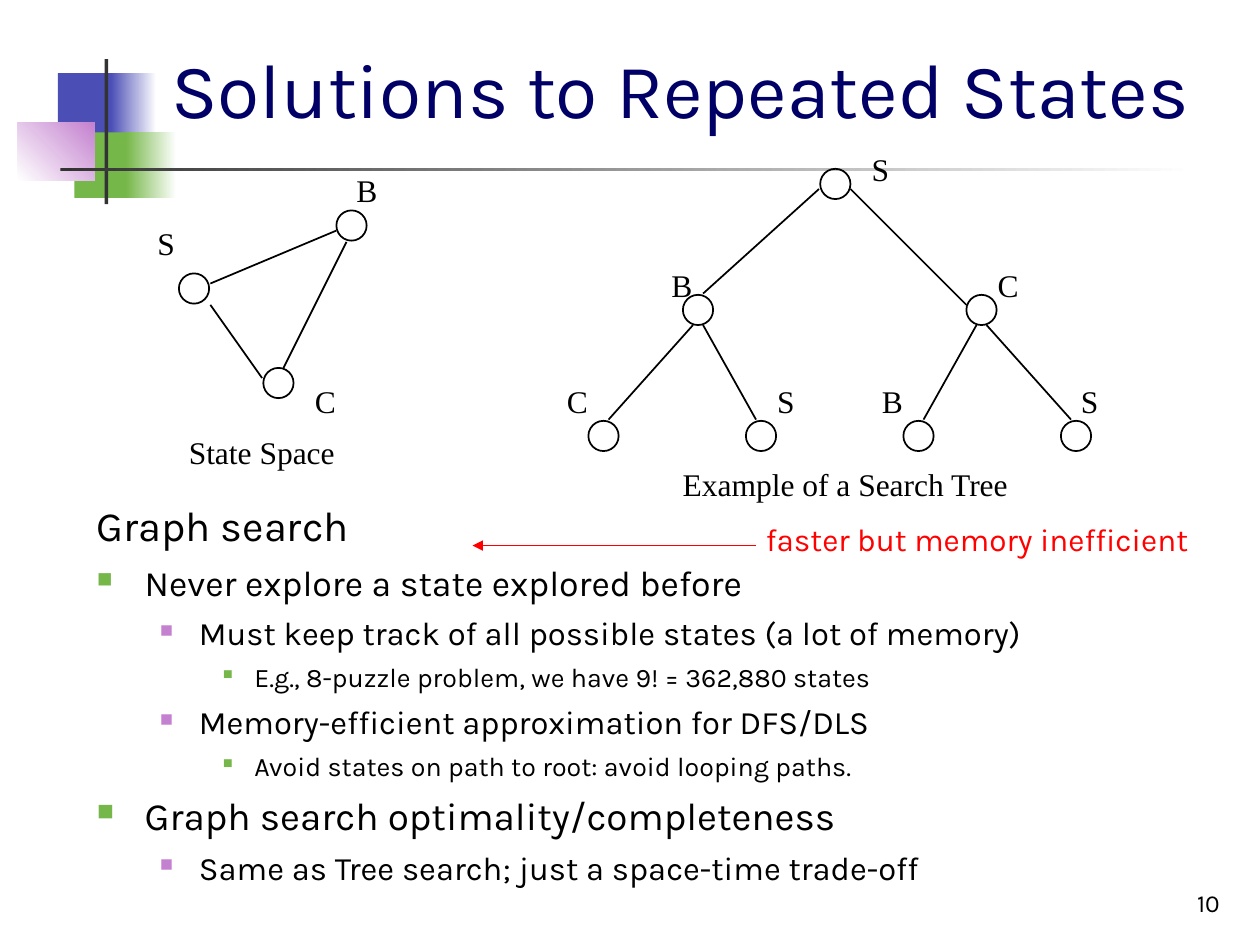
from lxml import etree
from pptx import Presentation
from pptx.dml.color import RGBColor as Rgb
from pptx.enum.shapes import MSO_CONNECTOR as Line, MSO_SHAPE as Kind
from pptx.enum.text import MSO_ANCHOR as Anchor, MSO_AUTO_SIZE as Fit, PP_ALIGN as Align
from pptx.oxml.ns import qn
from pptx.util import Inches, Pt

HUES = {
    "black": "000000", "white": "FFFFFF", "navy": "000066", "red": "FF0000",
    "blue": "4B4EB5", "green": "76B749", "pink": "C481CF", "dark": "333333",
}
SANS, SERIF = "Karla", "Times New Roman"
NODE = 0.24

# Bullet styles by level: hue, size in %, left margin, hang, space before
LEVELS = [("green", 60, 0.38, 0.38, 6), ("pink", 55, 0.81, 0.31, 5.5),
          ("green", 50, 1.25, 0.25, 4.5)]
# Text, level (None for the heading), font size
POINTS = [
    ("Graph search", None, 23.8),
    ("Never explore a state explored before", 0, 20.4),
    ("Must keep track of all possible states (a lot of memory)", 1, 18.7),
    ("E.g., 8-puzzle problem, we have 9! = 362,880 states", 2, 15.3),
    ("Memory-efficient approximation for DFS/DLS", 1, 18.7),
    ("Avoid states on path to root: avoid looping paths.", 2, 15.3),
    ("Graph search optimality/completeness", 0, 22.1),
    ("Same as Tree search; just a space-time trade-off", 1, 18.7),
]


def tint(name):
    return Rgb.from_string(HUES[name])


def style(para, size, face, hue):
    for run in para.runs:
        run.font.size, run.font.name = Pt(size), face
        run.font.color.rgb = tint(hue)


def add_text(slide, box, text, size=18, face=SERIF, hue="black"):
    shape = slide.shapes.add_textbox(*map(Inches, box))
    frame = shape.text_frame
    frame.word_wrap, frame.auto_size = False, Fit.SHAPE_TO_FIT_TEXT
    frame.text = text
    style(frame.paragraphs[0], size, face, hue)
    return frame


def add_line(slide, start, end, hue="black", width=1):
    line = slide.shapes.add_connector(Line.STRAIGHT, *map(Inches, (*start, *end)))
    line.line.color.rgb, line.line.width = tint(hue), Pt(width)
    etree.SubElement(line._element.spPr, qn("a:effectLst"))
    return line


def add_block(slide, box, first, last=None, angle=0):
    shape = slide.shapes.add_shape(Kind.RECTANGLE, *map(Inches, box))
    shape.shadow.inherit = False
    shape.line.fill.background()
    if last is None:
        shape.fill.solid()
        shape.fill.fore_color.rgb = tint(first)
        return
    shape.fill.gradient()
    shape.fill.gradient_angle = angle
    for stop, hue in zip(shape.fill.gradient_stops, (first, last)):
        stop.color.rgb = tint(hue)


def add_decor(slide, x, y):
    add_block(slide, (x + 0.32, y + 0.11, 0.48, 0.52), "blue")
    add_block(slide, (x + 0.74, y + 0.11, 0.36, 0.52), "blue", "white")
    add_block(slide, (x + 0.45, y + 0.58, 0.46, 0.52), "green")
    add_block(slide, (x + 0.86, y + 0.58, 0.4, 0.52), "green", "white")
    add_block(slide, (x, y + 0.5, 0.61, 0.46), "white", "pink", 45)
    add_block(slide, (x + 0.69, y, 0.03, 1.15), "dark")
    add_block(slide, (x + 0.34, y + 0.86, 9, 0.03), "dark", "white")


def add_title(slide, box, text):
    title = slide.shapes.title
    title.left, title.top, title.width, title.height = map(Inches, box)
    frame = title.text_frame
    frame.text = text
    frame.auto_size, frame.vertical_anchor = Fit.NONE, Anchor.MIDDLE
    para = frame.paragraphs[0]
    para.alignment = Align.LEFT
    style(para, 44, SANS, "navy")


def add_graph(slide, x, y, nodes, edges, caption):
    """Nodes: name, left, top, label left, label top, all from (x, y)."""
    for name, left, top, tag_x, tag_y in nodes:
        ring = slide.shapes.add_shape(
            Kind.OVAL, Inches(x + left), Inches(y + top), Inches(NODE), Inches(NODE))
        ring.shadow.inherit = False
        ring.fill.background()
        ring.line.color.rgb, ring.line.width = tint("black"), Pt(1)
        wide = 0.34 if name == "S" else 0.37
        add_text(slide, (x + tag_x, y + tag_y, wide, 0.4), name)
    for x1, y1, x2, y2 in edges:
        add_line(slide, (x + x1, y + y1), (x + x2, y + y2))
    text, left, top, wide = caption
    add_text(slide, (x + left, y + top, wide, 0.4), text)


def add_space(slide, x, y):
    nodes = [("S", 0.27, 0.86, 0, 0.42), ("C", 0.94, 1.61, 1.25, 1.67),
             ("B", 1.52, 0.36, 1.58, 0)]
    edges = [(0.52, 0.94, 1.52, 0.52), (1.6, 0.61, 1.1, 1.61),
             (0.52, 1.11, 0.93, 1.69)]
    add_graph(slide, x, y, nodes, edges, ("State Space", 0.25, 2.08, 1.36))


def add_tree(slide, x, y):
    nodes = [("S", 2.11, 0.2, 2.42, 0), ("B", 1.02, 1.2, 0.83, 0.92),
             ("C", 3.27, 1.2, 3.42, 0.92)]
    edges = [(2.1, 0.36, 1.18, 1.19), (2.35, 0.36, 3.27, 1.28)]
    # Leaves stand at equal steps, two under each inner node
    tags = [("C", 0), ("S", 1.67), ("B", 2.5), ("S", 4.08)]
    for i, (name, tag_x) in enumerate(tags):
        left = 0.27 + 1.25 * i
        nodes.append((name, left, 2.2, tag_x, 1.84))
        side = 0.04 if i % 2 else -0.04
        mid = nodes[1 + i // 2][1] + NODE / 2
        edges.append((mid + side, 1.44, left + NODE / 2 - side, 2.19))
    add_graph(slide, x, y, nodes, edges,
              ("Example of a Search Tree", 0.92, 2.5, 2.79))


def add_bullet(para, level):
    hue, size, left, hang, space = LEVELS[level]
    props = para._p.get_or_add_pPr()
    props.set("marL", str(Inches(left)))
    props.set("indent", str(-Inches(hang)))
    color = etree.SubElement(props, qn("a:buClr"))
    etree.SubElement(color, qn("a:srgbClr"), val=HUES[hue])
    etree.SubElement(props, qn("a:buSzPct"), val=str(size * 1000))
    etree.SubElement(props, qn("a:buChar"), char="■")
    para.level, para.space_before = level, Pt(space)


def add_points(slide, box):
    frame = slide.shapes.add_textbox(*map(Inches, box)).text_frame
    frame.word_wrap = True
    for i, (text, level, size) in enumerate(POINTS):
        para = frame.add_paragraph() if i else frame.paragraphs[0]
        para.text = text
        if level is not None:
            add_bullet(para, level)
        style(para, size, SANS, "black")


def add_note(slide, x, y):
    arrow = add_line(slide, (x + 2.25, y + 0.25), (x, y + 0.25), "red", 0.75)
    etree.SubElement(arrow.line._get_or_add_ln(), qn("a:tailEnd"), type="triangle")
    add_text(slide, (x + 2.23, y, 3.63, 0.4), "faster but memory inefficient",
             face=SANS, hue="red")


def add_number(slide, box, text):
    frame = add_text(slide, box, text, 14, SANS)
    frame.word_wrap, frame.auto_size = True, Fit.NONE
    frame.vertical_anchor = Anchor.BOTTOM
    frame.paragraphs[0].alignment = Align.RIGHT


def main():
    deck = Presentation()
    deck.slide_width, deck.slide_height = Inches(10), Inches(7.5)
    slide = deck.slides.add_slide(deck.slide_layouts[5])
    add_decor(slide, 0.14, 0.47)
    add_title(slide, (1.26, 0.23, 8.52, 0.93), "Solutions to Repeated States")
    add_points(slide, (0.67, 3.92, 8.58, 3.08))
    add_space(slide, 1.15, 1.31)
    add_tree(slide, 4.4, 1.14)
    add_note(slide, 3.75, 4.08)
    add_number(slide, (7.7, 6.83, 2.08, 0.5), "10")
    deck.save("out.pptx")


if __name__ == "__main__":
    main()
